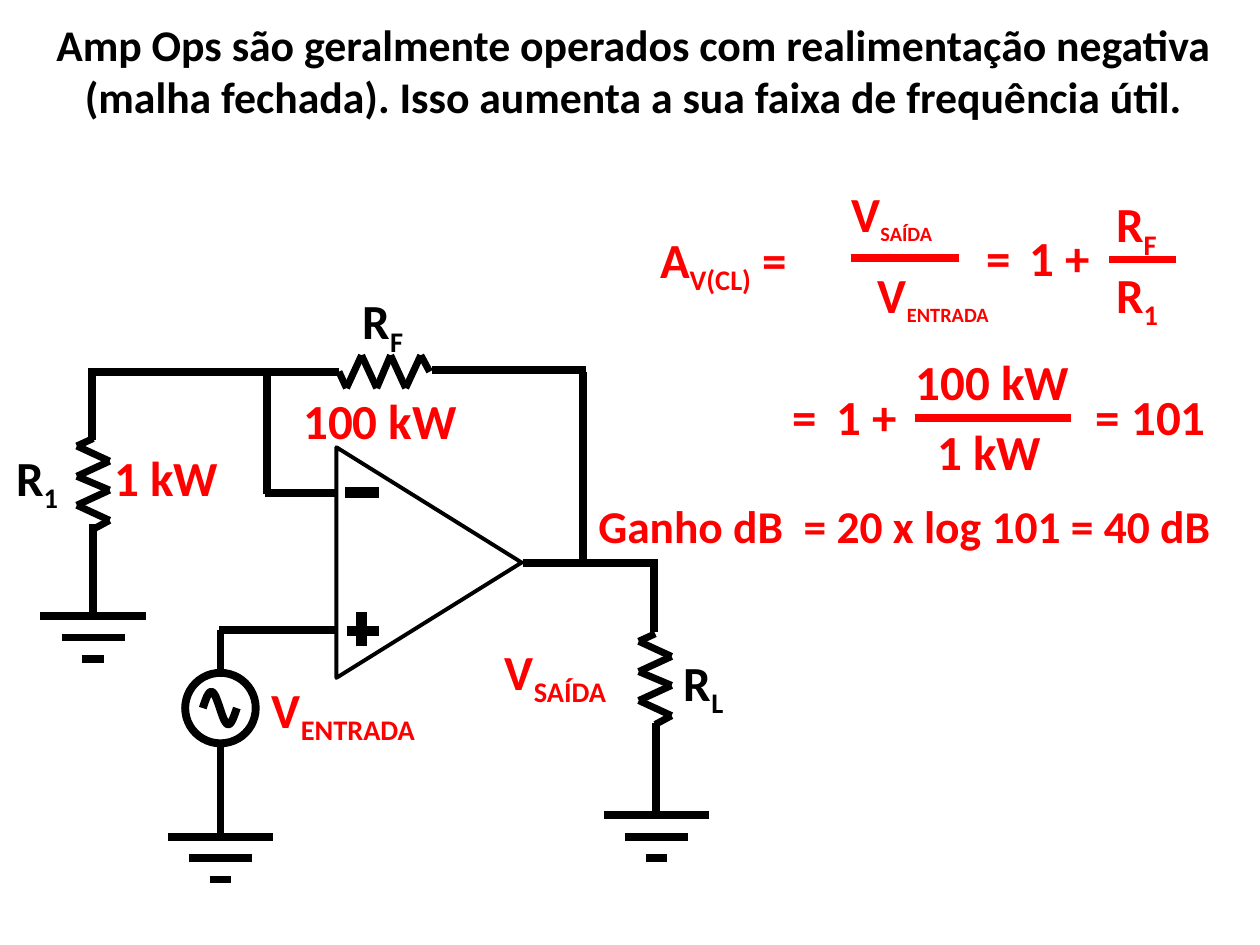
from math import pi, sin

from lxml.etree import SubElement
from pptx import Presentation
from pptx.dml.color import RGBColor
from pptx.enum.shapes import MSO_CONNECTOR, MSO_SHAPE
from pptx.enum.text import MSO_ANCHOR, MSO_AUTO_SIZE, PP_ALIGN
from pptx.oxml.ns import qn
from pptx.util import Inches, Pt

THEME = {
    "font": "Calibri",
    "black": RGBColor(0, 0, 0),
    "red": RGBColor(255, 0, 0),
    "title": 25,
    "label": 28,
    "gain": 26,
    "small": 20,
    "wire": 4.5,
    "resistor": 4,
    "sign": 6,
    "outline": 2.25,
}

TITLE = [
    "Amp Ops são geralmente operados com realimentação negativa",
    "(malha fechada). Isso aumenta a sua faixa de frequência útil.",
]

# (text with subscript in braces, left, top, width, height)
CIRCUIT_NAMES = [
    ("R{L}", 5.33, 5.13, 0.51, 0.63),
    ("R{F}", 2.78, 2.26, 0.52, 0.63),
    ("R{1}", 0.03, 3.5, 0.53, 0.63),
]
CIRCUIT_VALUES = [
    ("V{ENTRADA}", 2.06, 5.34, 1.34, 0.63),
    ("V{SAÍDA}", 3.91, 5.04, 1.01, 0.63),
    ("100 kW", 2.31, 3.05, 1.41, 0.57),
    ("1 kW", 0.81, 3.5, 1.02, 0.57),
]
FORMULAS = [
    ("A{V(CL)} =", 5.14, 1.77, 1.2, 0.63),
    ("=", 7.73, 1.76, 0.39, 0.57),
    ("1 +", 8.07, 1.76, 0.68, 0.57),
    ("R{F}", 8.76, 1.49, 0.52, 0.63),
    ("R{1}", 8.76, 2.05, 0.53, 0.63),
    ("=", 6.19, 3.02, 0.39, 0.57),
    ("1 +", 6.54, 3.02, 0.68, 0.57),
    ("100 kW", 7.17, 2.74, 1.41, 0.57),
    ("1 kW", 7.34, 3.3, 1.02, 0.57),
    ("= 101", 8.6, 3.02, 1.07, 0.57),
]
VOLTAGE_RATIO = [
    ("V{SAÍDA}", 6.66, 1.41, 0.84, 0.59),
    ("V{ENTRADA}", 6.87, 2.05, 1.08, 0.59),
]
GAIN = ("Ganho dB  = 20 x log 101 = 40 dB", 4.65, 3.9, 5.06, 0.54)
LABEL_SLACK = 0.06

WIRES = [
    (4.15, 4.47, 5.22, 4.47),
    (2.67, 5, 1.74, 5),
    (1.75, 5, 1.75, 5.33),
    (5.19, 4.45, 5.19, 5.02),
    (2.67, 3.91, 2.1, 3.91),
    (2.12, 3.92, 2.12, 2.94),
    (3.43, 2.94, 4.65, 2.94),
    (4.63, 2.95, 4.63, 4.44),
    (0.7, 2.95, 2.69, 2.95),
    (0.73, 3.49, 0.73, 2.94),
]
INPUT_SIGNS = [
    (2.74, 3.91, 3.01, 3.91),
    (2.75, 5.01, 3.01, 5.01),
    (2.87, 5.13, 2.87, 4.86),
]
FRACTION_BARS = [
    (6.75, 2.05, 7.61, 2.05),
    (8.8, 2.06, 9.33, 2.06),
    (7.26, 3.32, 8.5, 3.32),
]
RESISTORS = [(5.2, 5.03, True), (0.74, 3.48, True), (2.69, 2.95, False)]
RESISTOR_STEPS = [0, 0.06, 0.18, 0.3, 0.41, 0.53, 0.65, 0.72]
RESISTOR_SWING = 0.13
GROUNDS = [(1.75, 6.64), (5.21, 6.47), (0.74, 4.89)]
GROUND_WIDTHS = [0.84, 0.5, 0.17]
GROUND_GAP = 0.17
GROUND_LEAD = 0.73


def write_text(paragraph, text, size, color, subscript_size=None):
    base, _, rest = text.partition("{")
    subscript, _, tail = rest.partition("}")
    for content, lowered in ((base, False), (subscript, True), (tail, False)):
        if not content:
            continue
        run = paragraph.add_run()
        run.text = content
        run.font.name = THEME["font"]
        run.font.size = Pt(subscript_size if lowered and subscript_size else size)
        run.font.bold = True
        run.font.color.rgb = color
        if lowered:
            run.font._element.set("baseline", "-25000")


def format_frame(frame, wrap):
    frame.word_wrap = wrap
    frame.auto_size = MSO_AUTO_SIZE.SHAPE_TO_FIT_TEXT
    frame.vertical_anchor = MSO_ANCHOR.TOP


def add_label(slide, label, size=THEME["label"], color=THEME["red"], subscript_size=None):
    text, left, top, width, height = label
    box = map(Inches, (left, top, width + LABEL_SLACK, height))
    frame = slide.shapes.add_textbox(*box).text_frame
    format_frame(frame, wrap=True)
    write_text(frame.paragraphs[0], text, size, color, subscript_size)


def add_line(slide, ends, width=THEME["wire"], color=THEME["black"]):
    connector = slide.shapes.add_connector(MSO_CONNECTOR.STRAIGHT, *map(Inches, ends))
    connector.line.width = Pt(width)
    connector.line.color.rgb = color
    SubElement(connector._element.spPr, qn("a:effectLst"))


def outline(shape, width):
    shape.shadow.inherit = False
    shape.fill.background()
    shape.line.width = Pt(width)
    shape.line.color.rgb = THEME["black"]


def add_resistor(slide, left, top, vertical):
    last = len(RESISTOR_STEPS) - 1
    points = []
    for index, along in enumerate(RESISTOR_STEPS):
        swing = 0 if index in (0, last) else RESISTOR_SWING * (-1) ** index
        points.append((left + swing, top + along) if vertical else (left + along, top - swing))
    for start, end in zip(points, points[1:]):
        add_line(slide, start + end, THEME["resistor"])


def add_ground(slide, center, top):
    add_line(slide, (center, top - GROUND_LEAD, center, top))
    for index, width in enumerate(GROUND_WIDTHS):
        y = top + index * GROUND_GAP
        add_line(slide, (center - width / 2, y, center + width / 2, y))


def add_source(slide):
    circle = slide.shapes.add_shape(MSO_SHAPE.OVAL, *map(Inches, (1.47, 5.34, 0.56, 0.56)))
    outline(circle, THEME["wire"])
    steps = 24
    wave = [
        (Inches(1.61 + 0.27 * i / steps), Inches(5.62 - 0.13 * sin(2 * pi * i / steps)))
        for i in range(steps + 1)
    ]
    builder = slide.shapes.build_freeform(*wave[0])
    builder.add_line_segments(wave[1:], close=False)
    outline(builder.convert_to_shape(), THEME["wire"])


def add_amplifier(slide):
    box = map(Inches, (2.49, 3.73, 1.83, 1.47))
    triangle = slide.shapes.add_shape(MSO_SHAPE.ISOSCELES_TRIANGLE, *box)
    triangle.rotation = 90
    outline(triangle, THEME["outline"])
    for sign in INPUT_SIGNS:
        add_line(slide, sign, THEME["sign"])


def add_title(slide):
    title = slide.shapes.title
    title.left, title.top, title.width, title.height = map(Inches, (0.28, 0.09, 9.49, 0.94))
    frame = title.text_frame
    format_frame(frame, wrap=False)
    for index, line in enumerate(TITLE):
        paragraph = frame.add_paragraph() if index else frame.paragraphs[0]
        paragraph.alignment = PP_ALIGN.CENTER
        write_text(paragraph, line, THEME["title"], THEME["black"])


def main():
    presentation = Presentation()
    presentation.slide_width, presentation.slide_height = Inches(10), Inches(7.5)
    slide = presentation.slides.add_slide(presentation.slide_layouts[5])
    add_title(slide)
    add_amplifier(slide)
    add_source(slide)
    for wire in WIRES:
        add_line(slide, wire)
    for resistor in RESISTORS:
        add_resistor(slide, *resistor)
    for ground in GROUNDS:
        add_ground(slide, *ground)
    for bar in FRACTION_BARS:
        add_line(slide, bar, color=THEME["red"])
    for label in CIRCUIT_NAMES:
        add_label(slide, label, color=THEME["black"])
    for label in CIRCUIT_VALUES + FORMULAS:
        add_label(slide, label)
    for label in VOLTAGE_RATIO:
        add_label(slide, label, subscript_size=THEME["small"])
    add_label(slide, GAIN, size=THEME["gain"])
    presentation.save("out.pptx")


if __name__ == "__main__":
    main()
